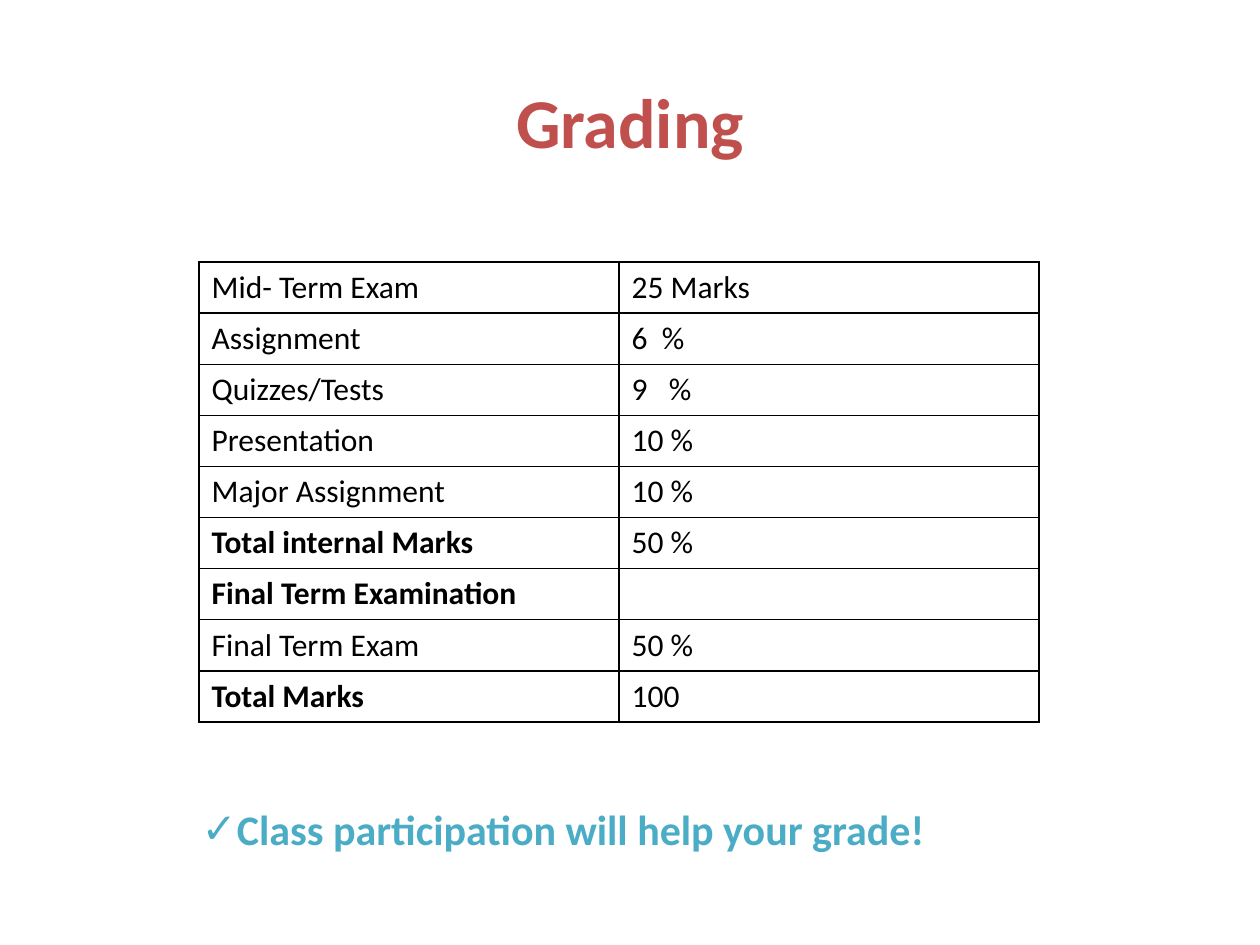
from dataclasses import dataclass

from pptx import Presentation, util as u
from pptx.dml.color import RGBColor as Rgb
from pptx.enum import text
from pptx.oxml import parse_xml
from pptx.oxml.ns import nsdecls


@dataclass(frozen=True)
class Theme:
    font: str = "Calibri"
    ink: str = "000000"
    red: str = "C0504D"
    teal: str = "4BACC6"
    paper: str = "FFFFFF"
    head: int = 40
    note: int = 24
    cell: int = 18
    line: float = 1


T = Theme()
WIDE, HIGH = u.Inches(10), u.Inches(7.5)

# Label, value, bold label
MARKS = [
    ("Mid- Term Exam", "25 Marks", False),
    ("Assignment", "6  %", False),
    ("Quizzes/Tests", "9   %", False),
    ("Presentation", "10 %", False),
    ("Major Assignment", "10 %", False),
    ("Total internal Marks", "50 %", True),
    ("Final Term Examination", "", True),
    ("Final Term Exam", "50 %", False),
    ("Total Marks", "100", True),
]


def style(para, size, color, bold):
    font = para.font
    font.name, font.size, font.bold = T.font, u.Pt(size), bold
    font.color.rgb = Rgb.from_string(color)


def place(shape, left, top, width, height):
    shape.left, shape.top = u.Inches(left), u.Inches(top)
    shape.width, shape.height = u.Inches(width), u.Inches(height)


def add_title(slide, words):
    title = slide.shapes.title
    place(title, 0.58, 0.33, 8.84, 1.25)
    title.text_frame.text = words
    title.text_frame.vertical_anchor = text.MSO_ANCHOR.MIDDLE
    para = title.text_frame.paragraphs[0]
    para.alignment = text.PP_ALIGN.CENTER
    style(para, T.head, T.red, True)


def add_note(slide, words):
    body = slide.placeholders[1]
    place(body, 1.5, 6.33, 5.99, 0.5)
    frame = body.text_frame
    frame.text = words
    frame.word_wrap = False
    frame.auto_size = text.MSO_AUTO_SIZE.SHAPE_TO_FIT_TEXT
    para = frame.paragraphs[0]
    para.space_before = u.Pt(0)
    # Check mark bullet with a hanging indent
    props = para._p.get_or_add_pPr()
    props.set("marL", str(u.Inches(0.28)))
    props.set("indent", str(-u.Inches(0.28)))
    props.append(parse_xml(f'<a:buChar {nsdecls("a")} char="✓"/>'))
    style(para, T.note, T.teal, True)


def fill_cell(cell, words, bold):
    cell.text = words
    style(cell.text_frame.paragraphs[0], T.cell, T.ink, bold)
    # Borders come before the fill in the cell's properties
    props = cell._tc.get_or_add_tcPr()
    for side in "LRTB":
        props.append(parse_xml(
            f'<a:ln{side} {nsdecls("a")} w="{u.Pt(T.line)}"><a:solidFill>'
            f'<a:srgbClr val="{T.ink}"/></a:solidFill></a:ln{side}>'))
    cell.fill.solid()
    cell.fill.fore_color.rgb = Rgb.from_string(T.paper)


def add_marks(slide, rows):
    wide, high = WIDE * 2 // 3, u.Inches(3.65)
    frame = slide.shapes.add_table(
        len(rows), 2, u.Inches(1.58), u.Inches(2.08), wide, high)
    table = frame.table
    table.first_row = table.horz_banding = False
    for row, (label, value, bold) in enumerate(rows):
        fill_cell(table.cell(row, 0), label, bold)
        fill_cell(table.cell(row, 1), value, False)


def main():
    deck = Presentation()
    deck.slide_width, deck.slide_height = WIDE, HIGH
    slide = deck.slides.add_slide(deck.slide_layouts[1])
    add_marks(slide, MARKS)
    add_title(slide, "Grading")
    add_note(slide, "Class participation will help your grade!")
    deck.save("out.pptx")


if __name__ == "__main__":
    main()
